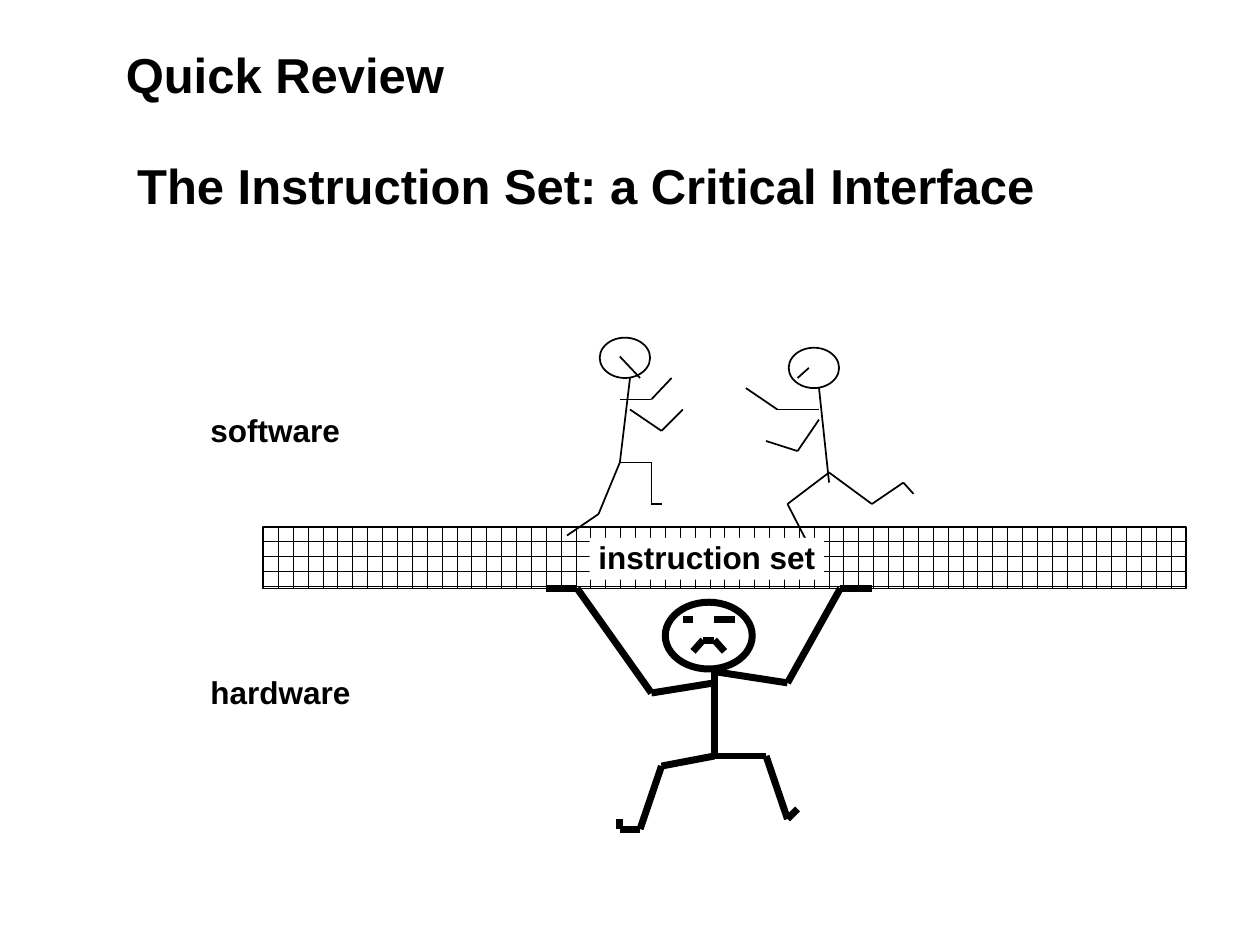
import itertools
from dataclasses import dataclass

import pptx
import pptx.dml.color
import pptx.enum.dml
import pptx.enum.shapes
import pptx.enum.text
import pptx.oxml.ns
import pptx.util
from lxml import etree
from pptx.util import Inches


@dataclass(frozen=True)
class Theme:
    ink: pptx.dml.color.RGBColor = pptx.dml.color.RGBColor(0, 0, 0)
    paper: pptx.dml.color.RGBColor = pptx.dml.color.RGBColor(255, 255, 255)
    font: str = "Arial"
    title_size: int = 28
    label_size: int = 18
    thin: int = 1
    thick: int = 4


THEME = Theme()

LEFT_RUNNER = [
    [(5, 3), (4.92, 3.67), (5.17, 3.67), (5.17, 4), (5.25, 4)],
    [(4.92, 3.67), (4.75, 4.08), (4.5, 4.25)],
    [(5, 3.25), (5.25, 3.42), (5.42, 3.25)],
    [(4.92, 3.17), (5.17, 3.17), (5.33, 3)],
    [(5.08, 3), (4.92, 2.83)],
]
RIGHT_RUNNER = [
    [(6.5, 3.08), (6.58, 3.83)],
    [(6.58, 3.75), (6.25, 4), (6.42, 4.33)],
    [(6.58, 3.75), (6.92, 4), (7.17, 3.83), (7.25, 3.92)],
    [(6.5, 3.33), (6.33, 3.58), (6.08, 3.5)],
    [(6.5, 3.25), (6.17, 3.25), (5.92, 3.08)],
    [(6.33, 3), (6.42, 2.92)],
]
HARDWARE_CARRIER = [
    [(5.5, 5.17), (5.58, 5.08), (5.67, 5.08), (5.75, 5.17)],
    [(5.67, 4.92), (5.83, 4.92)],
    [(5.5, 4.92), (5.42, 4.92)],
    [(5.67, 5.33), (5.67, 6), (6.08, 6), (6.25, 6.5), (6.33, 6.42)],
    [(5.67, 6), (5.25, 6.08), (5.08, 6.58), (4.92, 6.58), (4.92, 6.5)],
    [(5.67, 5.33), (6.25, 5.42), (6.67, 4.67), (6.92, 4.67)],
    [(5.67, 5.42), (5.17, 5.5), (4.58, 4.67), (4.33, 4.67)],
]


def style_line(line, width):
    line.color.rgb = THEME.ink
    line.width = pptx.util.Pt(width)


def add_stroke(slide, points, width):
    for start, end in itertools.pairwise(points):
        connector = slide.shapes.add_connector(
            pptx.enum.shapes.MSO_CONNECTOR.STRAIGHT,
            *(Inches(value) for value in start + end))
        style_line(connector.line, width)
        properties = connector._element.spPr
        etree.SubElement(properties, pptx.oxml.ns.qn("a:effectLst"))


def add_outline(slide, kind, box, width):
    shape = slide.shapes.add_shape(kind, *(Inches(value) for value in box))
    shape.shadow.inherit = False
    shape.fill.background()
    style_line(shape.line, width)
    return shape


def add_figure(slide, head, strokes, width):
    add_outline(slide, pptx.enum.shapes.MSO_SHAPE.OVAL, head, width)
    for points in strokes:
        add_stroke(slide, points, width)


def add_instruction_layer(slide):
    layer = add_outline(slide, pptx.enum.shapes.MSO_SHAPE.RECTANGLE,
                        (2.09, 4.18, 7.32, 0.49), THEME.thin)
    layer.fill.patterned()
    layer.fill.pattern = pptx.enum.dml.MSO_PATTERN.HORIZONTAL_BRICK
    layer.fill.fore_color.rgb = THEME.ink
    layer.fill.back_color.rgb = THEME.paper


def add_text(slide, text, box, size, side_margins, edge_margin):
    textbox = slide.shapes.add_textbox(*(Inches(value) for value in box))
    frame = textbox.text_frame
    frame.margin_left, frame.margin_right = (Inches(value) for value in side_margins)
    frame.margin_top = frame.margin_bottom = Inches(edge_margin)
    run = frame.paragraphs[0].add_run()
    run.text = text
    run.font.name = THEME.font
    run.font.size = pptx.util.Pt(size)
    run.font.bold = True
    run.font.color.rgb = THEME.ink
    return textbox


def add_title(slide, text, box):
    title = add_text(slide, text, box, THEME.title_size, (0.1, 0.1), 0.05)
    title.text_frame.word_wrap = True
    title.text_frame.vertical_anchor = pptx.enum.text.MSO_ANCHOR.MIDDLE


def add_label(slide, text, box, line_spacing):
    label = add_text(slide, text, box, THEME.label_size, (0.07, 0), 0.03)
    label.text_frame.word_wrap = False
    label.text_frame.auto_size = pptx.enum.text.MSO_AUTO_SIZE.NONE
    label.text_frame.paragraphs[0].line_spacing = line_spacing
    return label


def main():
    presentation = pptx.Presentation()
    presentation.slide_width = Inches(10)
    presentation.slide_height = Inches(7.5)
    slide = presentation.slides.add_slide(presentation.slide_layouts[6])

    add_title(slide, "Quick Review", (0.9, 0.4, 8.11, 0.37))
    add_title(slide, "The Instruction Set: a Critical Interface",
              (0.99, 1.28, 9.19, 0.37))
    add_instruction_layer(slide)
    add_figure(slide, (4.76, 2.68, 0.4, 0.32), LEFT_RUNNER, THEME.thin)
    add_figure(slide, (6.26, 2.76, 0.4, 0.32), RIGHT_RUNNER, THEME.thin)
    add_figure(slide, (5.28, 4.78, 0.69, 0.53), HARDWARE_CARRIER, THEME.thick)

    interface = add_label(slide, "instruction set", (4.68, 4.27, 1.86, 0.33), 0.92)
    interface.fill.solid()
    interface.fill.fore_color.rgb = THEME.paper
    add_label(slide, "software", (1.6, 3.28, 1.17, 0.31), 0.85)
    add_label(slide, "hardware", (1.6, 5.36, 1.25, 0.31), 0.85)

    presentation.save("out.pptx")


if __name__ == "__main__":
    main()
